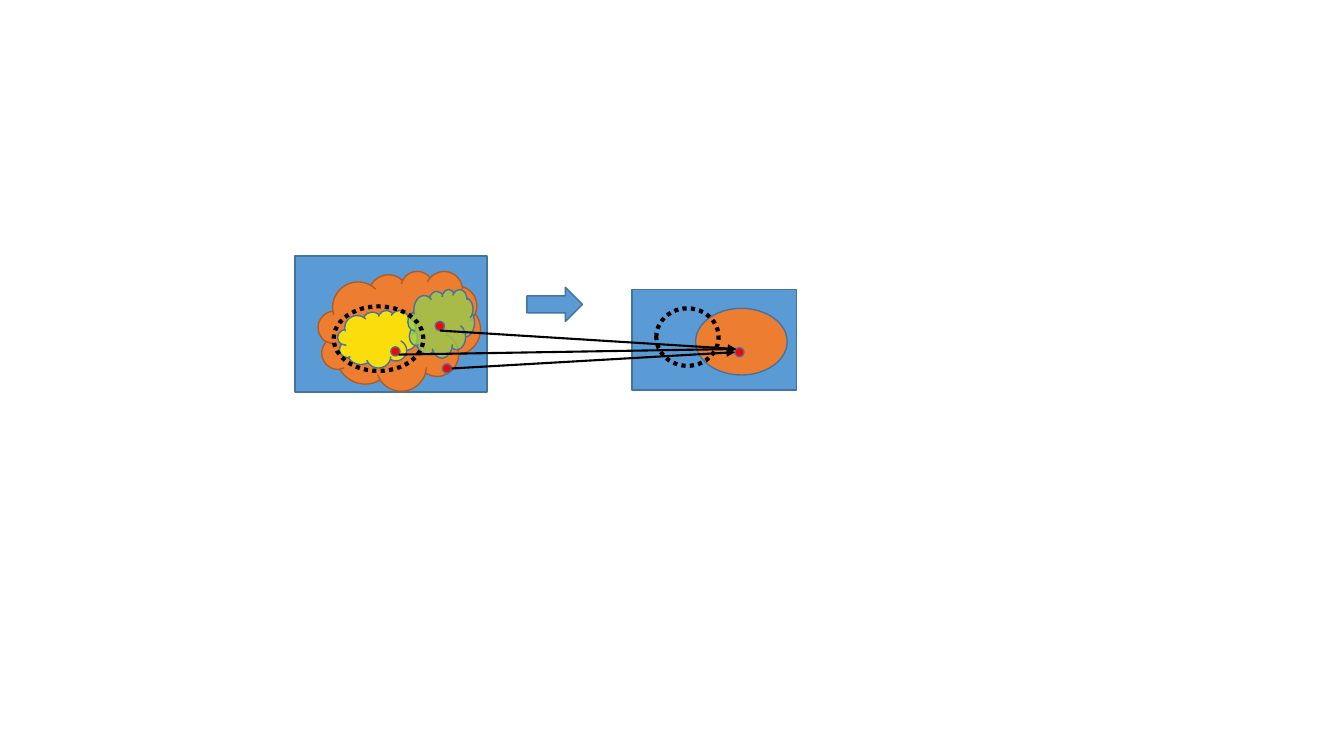
import pptx
import pptx.dml.color
import pptx.enum.dml
import pptx.enum.shapes
import pptx.oxml
import pptx.oxml.ns
import pptx.util

Cm = pptx.util.Cm
Pt = pptx.util.Pt
KIND = pptx.enum.shapes.MSO_SHAPE

BLUE, ORANGE, YELLOW, GREEN = "5B9BD5", "ED7D31", "FFFF00", "92D050"
RED, BLACK, EDGE, DARK_ORANGE = "FF0000", "000000", "43739E", "AF5C24"
DOT = 0.23
SOURCE_BOX = (7.44, 6.45, 4.83, 3.43)
TARGET_BOX = (15.93, 7.29, 4.14, 2.54)
ARROW_BOX = (13.28, 7.24, 1.4, 0.86)


def color(hex_code):
    """Turn a hex string into a colour."""
    return pptx.dml.color.RGBColor.from_string(hex_code)


def sub_element(parent, tag, **attributes):
    """Append a drawing element with the given attributes."""
    child = pptx.oxml.parse_xml(f"<{tag} {pptx.oxml.ns.nsdecls('a')}/>")
    for name, value in attributes.items():
        child.set(name, str(value))
    parent.append(child)


def within(box, part):
    """Shift a part's frame by the corner of its box."""
    return box[0] + part[0], box[1] + part[1], part[2], part[3]


def add_area(slide, kind, frame, fill=None, edge=EDGE, weight=1, alpha=None):
    """Draw one outlined shape, filled when a fill is given."""
    area = slide.shapes.add_shape(kind, *(Cm(length) for length in frame))
    area.shadow.inherit = False
    if fill:
        area.fill.solid()
        area.fill.fore_color.rgb = color(fill)
    else:
        area.fill.background()
    if alpha:
        fill_color = area.fill._xPr.find(".//" + pptx.oxml.ns.qn("a:srgbClr"))
        sub_element(fill_color, "a:alpha", val=alpha * 1000)
    area.line.color.rgb = color(edge)
    area.line.width = Pt(weight)
    return area


def add_dot(slide, box, left, top):
    """Draw a red point in a box and return its corner."""
    frame = within(box, (left, top, DOT, DOT))
    add_area(slide, KIND.OVAL, frame, RED)
    return frame[:2]


def add_ring(slide, box, part):
    """Draw a dotted black ring in a box."""
    ring = add_area(slide, KIND.OVAL, within(box, part), edge=BLACK, weight=3)
    ring.line.dash_style = pptx.enum.dml.MSO_LINE.ROUND_DOT


def add_source(slide, box):
    """Draw the panel of nested clouds and return its three points."""
    add_area(slide, KIND.RECTANGLE, box, BLUE)
    add_area(slide, KIND.CLOUD, within(box, (0.58, 0.38, 4.09, 3.02)), ORANGE, DARK_ORANGE)
    add_area(slide, KIND.CLOUD, within(box, (1.07, 1.37, 2.01, 1.45)), YELLOW, alpha=75)
    yellow_dot = add_dot(slide, box, 2.41, 2.29)
    orange_dot = add_dot(slide, box, 3.71, 2.72)
    add_area(slide, KIND.CLOUD, within(box, (2.84, 0.84, 1.68, 1.73)), GREEN, alpha=75)
    green_dot = add_dot(slide, box, 3.53, 1.65)
    return yellow_dot, orange_dot, green_dot


def add_target(slide, box):
    """Draw the panel with one oval and return its point."""
    add_area(slide, KIND.RECTANGLE, box, BLUE)
    add_area(slide, KIND.OVAL, within(box, (1.6, 0.48, 2.31, 1.68)), ORANGE)
    return add_dot(slide, box, 2.59, 1.47)


def add_mapping(slide, start_dot, start_side, end_dot, end_side):
    """Draw an arrow between two points, sides given as shares of the dot."""
    ends = [corner + share * DOT
            for dot, side in ((start_dot, start_side), (end_dot, end_side))
            for corner, share in zip(dot, side)]
    mapping = slide.shapes.add_connector(
        pptx.enum.shapes.MSO_CONNECTOR.STRAIGHT, *(Cm(end) for end in ends))
    mapping.line.color.rgb = color(BLACK)
    mapping.line.width = Pt(1.5)
    sub_element(mapping.line._get_or_add_ln(), "a:tailEnd", type="triangle")
    sub_element(mapping._element.spPr, "a:effectLst")


def main():
    """Build the slide and save it."""
    deck = pptx.Presentation()
    deck.slide_width, deck.slide_height = Cm(33.87), Cm(19.05)
    slide = deck.slides.add_slide(deck.slide_layouts[6])
    target_dot = add_target(slide, TARGET_BOX)
    yellow_dot, orange_dot, green_dot = add_source(slide, SOURCE_BOX)
    add_area(slide, KIND.RIGHT_ARROW, ARROW_BOX, BLUE)
    upper_left, lower_right = (0.15, 0.15), (0.85, 0.85)
    add_mapping(slide, orange_dot, (1, 0.5), target_dot, (0, 0.5))
    add_mapping(slide, green_dot, (0.5, 1), target_dot, upper_left)
    add_mapping(slide, yellow_dot, lower_right, target_dot, upper_left)
    add_ring(slide, SOURCE_BOX, (0.97, 1.27, 2.26, 1.63))
    add_ring(slide, TARGET_BOX, (0.61, 0.48, 1.57, 1.45))
    deck.save("out.pptx")


if __name__ == "__main__":
    main()
